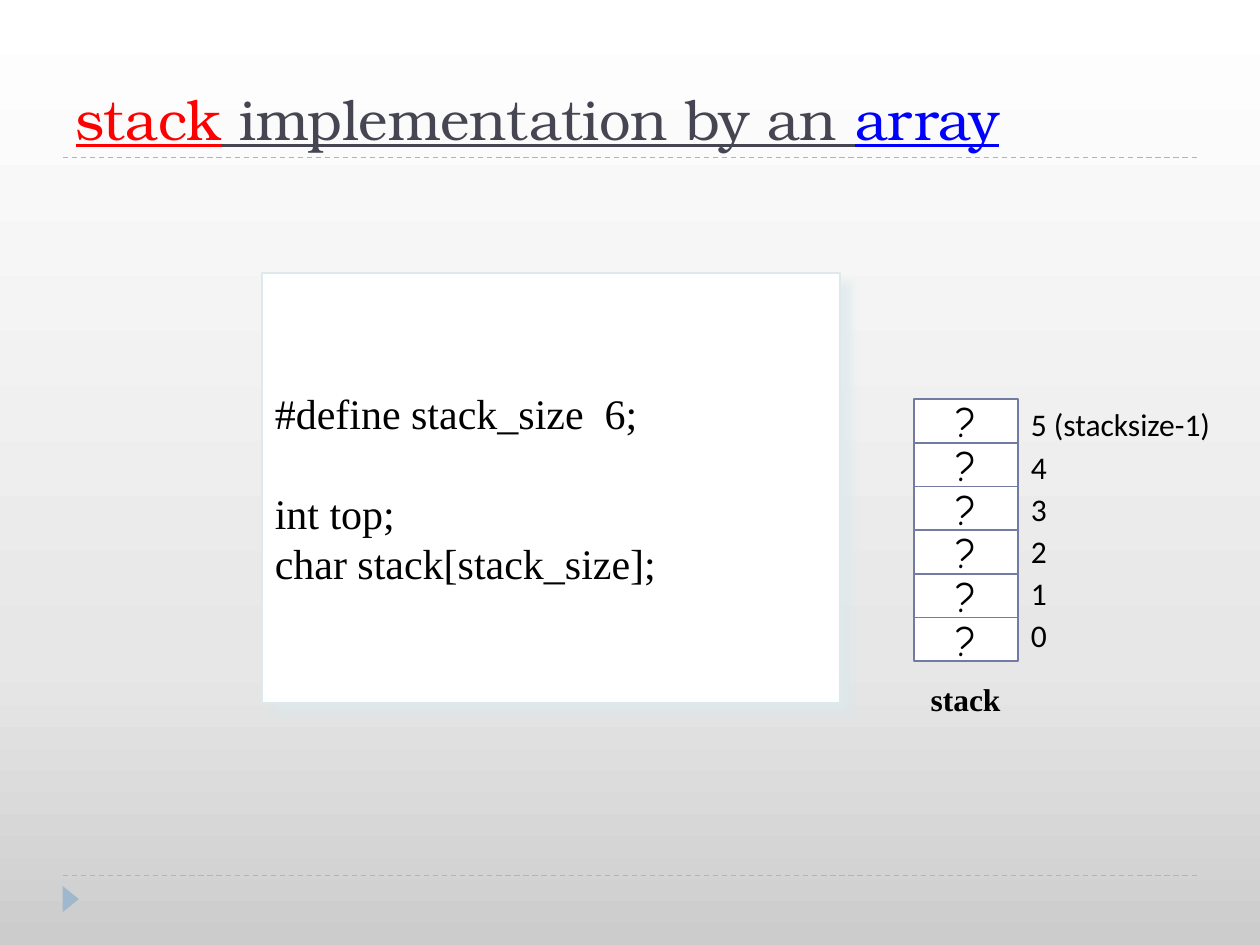
"""Build a slide on implementing a stack with an array."""
import copy

import lxml.etree
import pptx
import pptx.dml.color
import pptx.enum.dml
import pptx.enum.shapes
import pptx.enum.text
import pptx.oxml.ns
import pptx.util

COLORS = {
    "black": "000000", "white": "FFFFFF", "red": "FF0000", "blue": "0000FF",
    "title": "464653", "accent": "9FB8CD", "cell": "727CA3", "panel": "DDE9EC",
    "bottom": "CCCCCC", "middle": "E7E7E7",
}
SERIF = "Times New Roman"
SHAPES = pptx.enum.shapes.MSO_SHAPE
ANCHORS = pptx.enum.text.MSO_ANCHOR
ALIGNMENTS = pptx.enum.text.PP_ALIGN
Cm, Pt = pptx.util.Cm, pptx.util.Pt
qn = pptx.oxml.ns.qn


def rgb(name):
    """Return the named colour."""
    return pptx.dml.color.RGBColor.from_string(COLORS[name])


class SlideBuilder:
    """Hold the current slide and its drawing style."""

    def __init__(self, presentation):
        self.slide = presentation.slides.add_slide(presentation.slide_layouts[5])
        self.shapes = self.slide.shapes

    def background(self, stops):
        fill = self.slide.background.fill
        fill.gradient()
        fill.gradient_angle = 90
        stop_list = next(self.slide.element.iter(qn("a:gsLst")))
        stop_list.insert(1, copy.deepcopy(stop_list[0]))
        for stop, (position, color) in zip(fill.gradient_stops, stops):
            stop.position = position
            stop.color.rgb = rgb(color)

    def title(self, runs, left, top, width, height):
        title = self.shapes.title
        title.left, title.top, title.width, title.height = map(Cm, (left, top, width, height))
        title.text_frame.vertical_anchor = ANCHORS.BOTTOM
        paragraph = title.text_frame.paragraphs[0]
        paragraph.alignment = ALIGNMENTS.LEFT
        paragraph.font.name = "TeX Gyre Bonum"
        paragraph.font.size = Pt(32)
        paragraph.font.underline = True
        for text, color in runs:
            run = paragraph.add_run()
            run.text = text
            run.font.color.rgb = rgb(color)

    def rule(self, left, right, y):
        rule = self.shapes.add_connector(
            pptx.enum.shapes.MSO_CONNECTOR.STRAIGHT, Cm(left), Cm(y), Cm(right), Cm(y))
        rule.line.color.rgb = rgb("accent")
        rule.line.width = Pt(0.75)
        rule.line.dash_style = pptx.enum.dml.MSO_LINE.DASH
        lxml.etree.SubElement(rule.element.spPr, qn("a:effectLst"))

    def shape(self, kind, left, top, width, height, fill, line=None):
        shape = self.shapes.add_shape(kind, Cm(left), Cm(top), Cm(width), Cm(height))
        shape.fill.solid()
        shape.fill.fore_color.rgb = rgb(fill)
        if line:
            shape.line.color.rgb = rgb(line)
            shape.line.width = Pt(1)
        else:
            shape.line.fill.background()
        shape.shadow.inherit = False
        return shape

    def drop_shadow(self, shape, color):
        effects = shape.element.spPr.find(qn("a:effectLst"))
        shadow = lxml.etree.SubElement(
            effects, qn("a:outerShdw"), blurRad=str(Pt(5)), dist=str(Pt(8.5)),
            dir="2700000", algn="tl", rotWithShape="0")
        tint = lxml.etree.SubElement(shadow, qn("a:srgbClr"), val=COLORS[color])
        lxml.etree.SubElement(tint, qn("a:alpha"), val="75000")

    def set_text(self, shape, lines, font, size, alignment=ALIGNMENTS.LEFT, bold=False):
        shape.text_frame.text = "\n".join(lines)
        for paragraph in shape.text_frame.paragraphs:
            paragraph.alignment = alignment
            paragraph.font.name = font
            paragraph.font.size = Pt(size)
            paragraph.font.bold = bold
            paragraph.font.color.rgb = rgb("black")

    def label(self, text, left, top, width, font, bold=False):
        label = self.shapes.add_textbox(Cm(left), Cm(top), Cm(width), Cm(1.02))
        label.text_frame.word_wrap = False
        self.set_text(label, [text], font, 18, bold=bold)


presentation = pptx.Presentation()
presentation.slide_width, presentation.slide_height = Cm(25.4), Cm(19.05)
builder = SlideBuilder(presentation)
builder.background([(0, "bottom"), (0.3, "middle"), (1, "white")])

for rule_y in (17.65, 3.17):
    builder.rule(1.27, 24.13, rule_y)
marker = builder.shape(SHAPES.ISOSCELES_TRIANGLE, 1.16, 17.96, 0.53, 0.33, "accent")
marker.rotation = 90

builder.title(
    [("stack", "red"), (" implementation by an ", "title"), ("array", "blue")],
    1.27, 0.64, 22.86, 2.54)

code_panel = builder.shape(SHAPES.RECTANGLE, 5.29, 5.5, 11.64, 8.68, "white", "panel")
builder.drop_shadow(code_panel, "panel")
builder.set_text(
    code_panel, ["#define stack_size  6;", "int top;", "char stack[stack_size];"], SERIF, 24)
code_panel.text_frame.vertical_anchor = ANCHORS.MIDDLE
code_panel.text_frame.paragraphs[1].space_before = Pt(28)

STACK_LEFT, STACK_TOP, CELL_WIDTH, CELL_HEIGHT, LABEL_STEP = 18.42, 8.05, 2.11, 0.88, 0.85
for row, index in enumerate(["5 (stacksize-1)", "4", "3", "2", "1", "0"]):
    cell = builder.shape(
        SHAPES.RECTANGLE, STACK_LEFT, STACK_TOP + row * CELL_HEIGHT,
        CELL_WIDTH, CELL_HEIGHT, "white", "cell")
    cell.text_frame.word_wrap = False
    cell.text_frame.vertical_anchor = ANCHORS.MIDDLE
    builder.set_text(cell, ["?"], "Comic Neue", 24, ALIGNMENTS.CENTER)
    builder.label(
        index, STACK_LEFT + CELL_WIDTH, STACK_TOP + row * LABEL_STEP,
        4.67 if row == 0 else 0.86, "Calibri")
builder.label("stack", 18.51, 13.59, 1.98, SERIF, bold=True)

presentation.save("out.pptx")
